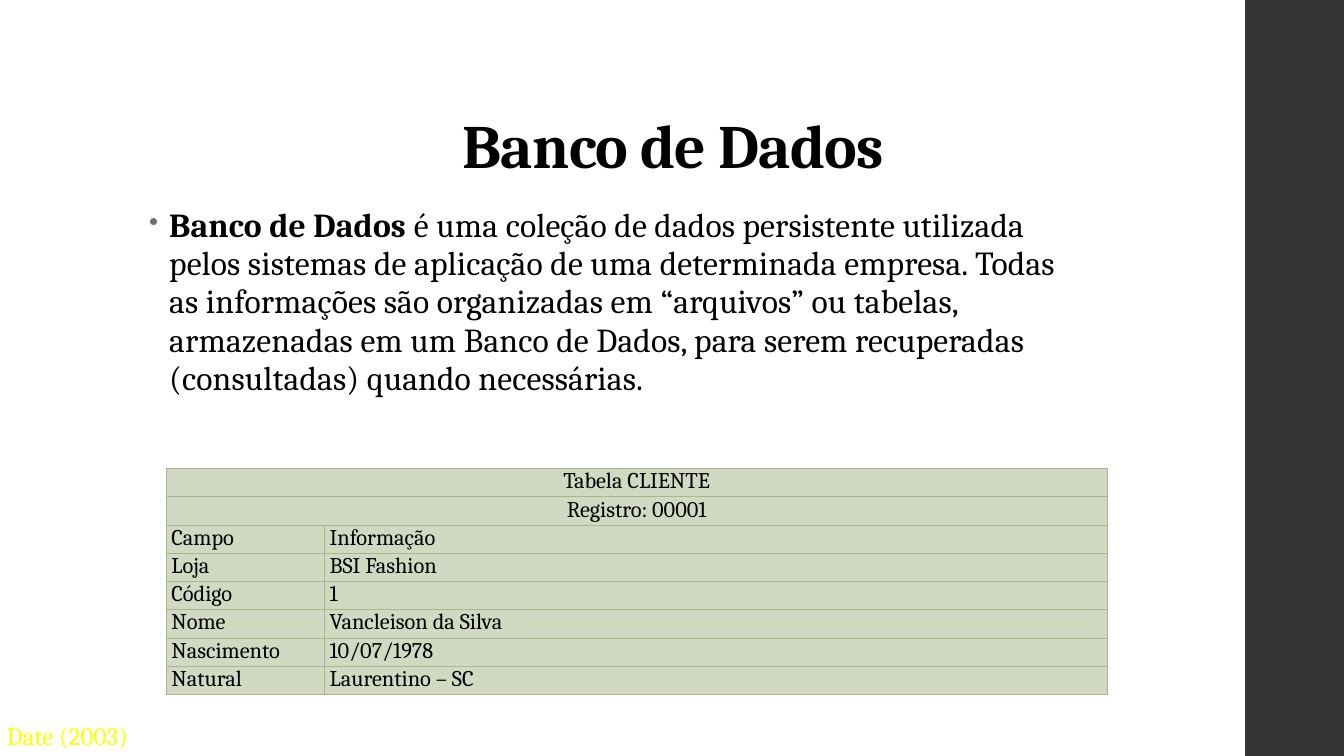
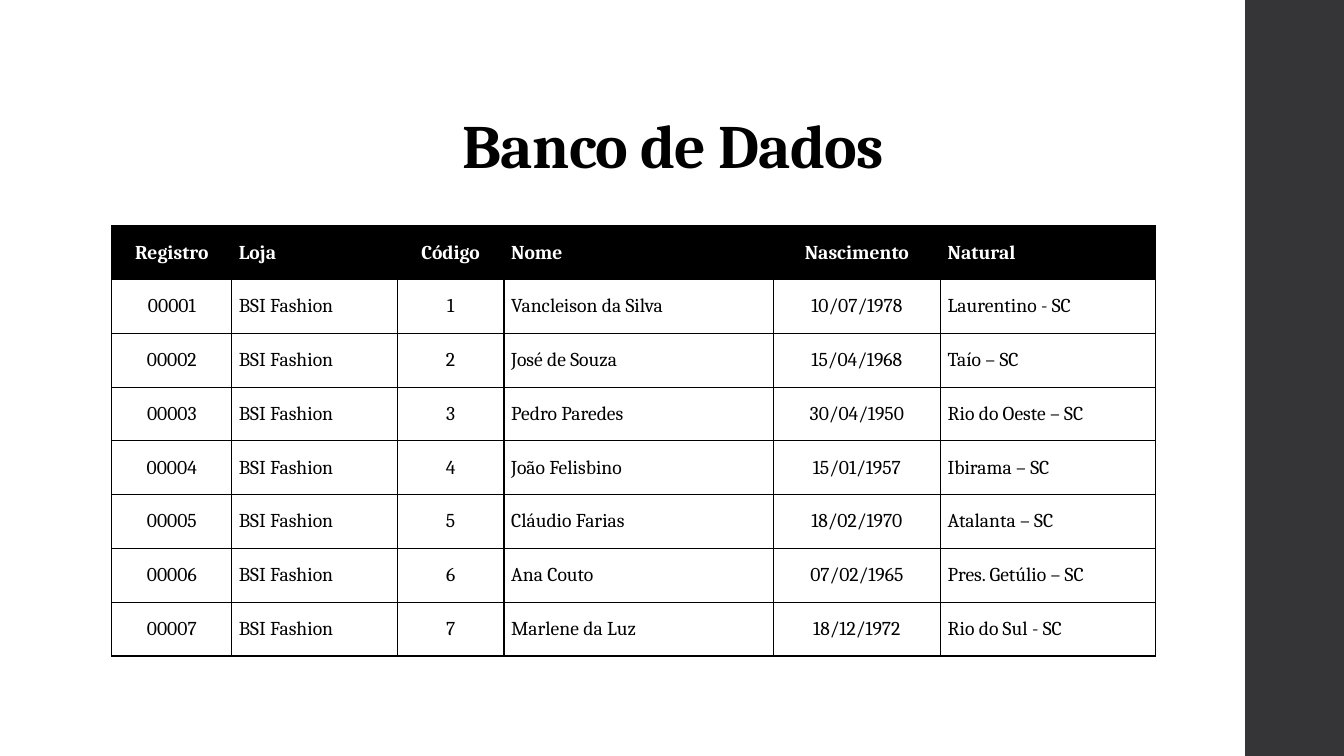
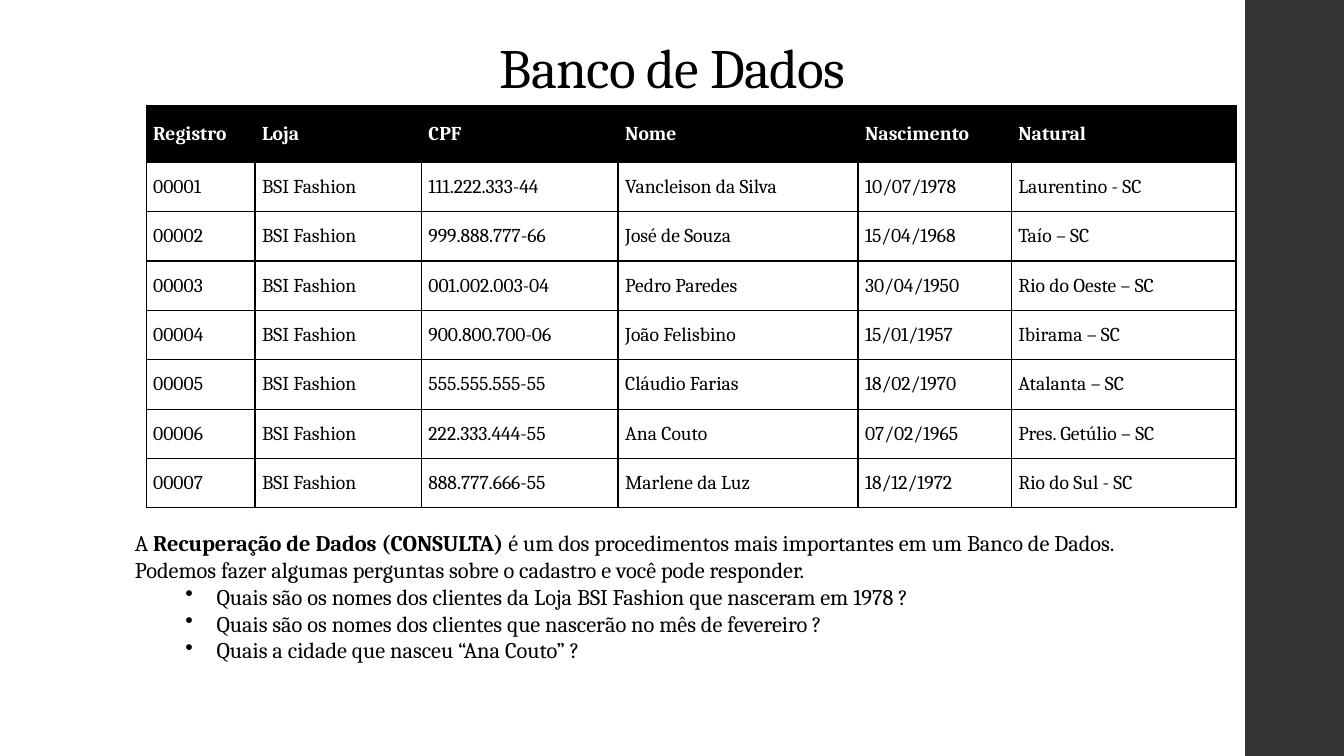
from dataclasses import dataclass
from typing import NamedTuple, Optional, Sequence

from lxml import etree
from pptx import Presentation
from pptx.dml.color import RGBColor
from pptx.enum.shapes import MSO_SHAPE
from pptx.enum.text import MSO_ANCHOR, MSO_AUTO_SIZE, PP_ALIGN
from pptx.oxml.ns import qn
from pptx.util import Inches, Pt

LEFT, CENTER = PP_ALIGN.LEFT, PP_ALIGN.CENTER
TOP, MIDDLE, BOTTOM = MSO_ANCHOR.TOP, MSO_ANCHOR.MIDDLE, MSO_ANCHOR.BOTTOM
RECTANGLE = MSO_SHAPE.RECTANGLE
FIT_SHAPE, FIT_NONE = MSO_AUTO_SIZE.SHAPE_TO_FIT_TEXT, MSO_AUTO_SIZE.NONE

FONT = "Cambria"
TITLE = "Banco de Dados"
STORE = "BSI Fashion"
COLORS = {
    "band": "353537",
    "text": "000000",
    "header_text": "FFFFFF",
    "bullet": "6F6F74",
    "source": "FFFF00",
    "record_fill": "D1D9C2",
    "record_line": "A7B789",
    "grid": "000000",
}


class Box(NamedTuple):
    left: float
    top: float
    width: float
    height: float


class Client(NamedTuple):
    name: str
    cpf: str
    birth: str
    city: str


class Bullet(NamedTuple):
    left: float
    hang: float
    level: int = 0
    color: Optional[str] = None
    percent: Optional[int] = None


@dataclass(frozen=True)
class TableStyle:
    size: float
    inset: float
    line: str
    line_width: float
    anchor: MSO_ANCHOR
    fill: Optional[str] = None
    has_header: bool = False


RECORD_STYLE = TableStyle(16, 0.05, "record_line", 0.75, TOP, fill="record_fill")
GRID_STYLE = TableStyle(14, 0.07, "grid", 1, MIDDLE, has_header=True)

CLIENTS = [
    Client("Vancleison da Silva", "111.222.333-44", "10/07/1978", "Laurentino - SC"),
    Client("José de Souza", "999.888.777-66", "15/04/1968", "Taío – SC"),
    Client("Pedro Paredes", "001.002.003-04", "30/04/1950", "Rio do Oeste – SC"),
    Client("João Felisbino", "900.800.700-06", "15/01/1957", "Ibirama – SC"),
    Client("Cláudio Farias", "555.555.555-55", "18/02/1970", "Atalanta – SC"),
    Client("Ana Couto", "222.333.444-55", "07/02/1965", "Pres. Getúlio – SC"),
    Client("Marlene da Luz", "888.777.666-55", "18/12/1972", "Rio do Sul - SC"),
]


def rgb(color: str) -> RGBColor:
    return RGBColor.from_string(COLORS[color])


def set_bullet(paragraph, bullet: Bullet) -> None:
    paragraph.level = bullet.level
    props = paragraph._p.get_or_add_pPr()
    props.set("marL", str(Inches(bullet.left)))
    props.set("indent", str(-Inches(bullet.hang)))
    if bullet.color:
        holder = etree.SubElement(props, qn("a:buClr"))
        etree.SubElement(holder, qn("a:srgbClr"), val=COLORS[bullet.color])
    if bullet.percent:
        etree.SubElement(props, qn("a:buSzPct"), val=str(bullet.percent * 1000))
    etree.SubElement(props, qn("a:buChar"), char="•")


def write_text(frame, *lines: str, size: float, color: str = "text",
               bold: bool = False, align: PP_ALIGN = LEFT, tracking: float = 0,
               line_spacing: Optional[float] = None, before: float = 0,
               after: float = 0, bullet: Optional[Bullet] = None) -> None:
    """Append one paragraph per line; parts between ** marks are bold."""
    for line in lines:
        first = frame.paragraphs[0]
        paragraph = frame.add_paragraph() if first.runs else first
        paragraph.alignment = align
        paragraph.space_before, paragraph.space_after = Pt(before), Pt(after)
        if line_spacing:
            paragraph.line_spacing = line_spacing
        if bullet:
            set_bullet(paragraph, bullet)
        for position, part in enumerate(line.split("**")):
            if not part:
                continue
            run = paragraph.add_run()
            run.text = part
            run.font.name, run.font.size = FONT, Pt(size)
            run.font.bold = bold or position % 2 == 1
            run.font.color.rgb = rgb(color)
            if tracking:
                run._r.get_or_add_rPr().set("spc", str(round(tracking * 100)))


def add_frame(slide, box: Box, anchor: MSO_ANCHOR = TOP, wrap: bool = True,
              grow: bool = False):
    frame = slide.shapes.add_textbox(*map(Inches, box)).text_frame
    frame.word_wrap = wrap
    frame.auto_size = FIT_SHAPE if grow else FIT_NONE
    frame.vertical_anchor = anchor
    return frame


def add_titled_slide(deck, title_box: Box, size: float, bold: bool):
    """Add a blank slide with the dark side band and the title."""
    slide = deck.slides.add_slide(deck.slide_layouts[6])
    band = slide.shapes.add_shape(RECTANGLE, *map(Inches, Box(12.35, 0, 1, 7.5)))
    band.shadow.inherit = False
    band.fill.solid()
    band.fill.fore_color.rgb = rgb("band")
    band.line.fill.background()
    write_text(add_frame(slide, title_box, anchor=BOTTOM), TITLE, size=size,
               bold=bold, align=CENTER, tracking=-0.5, line_spacing=0.9)
    return slide


def set_borders(cell, color: str, width: float, bottom_width: float) -> None:
    props = cell._tc.get_or_add_tcPr()
    for side in ("lnL", "lnR", "lnT", "lnB"):
        points = bottom_width if side == "lnB" else width
        line = etree.SubElement(props, qn(f"a:{side}"), w=str(Pt(points)))
        fill = etree.SubElement(line, qn("a:solidFill"))
        etree.SubElement(fill, qn("a:srgbClr"), val=COLORS[color])


def add_table(slide, left: float, top: float, widths: Sequence[float],
              heights: Sequence[float], rows: Sequence[Sequence[str]],
              style: TableStyle, centered: Sequence[int] = ()) -> None:
    """Draw rows of text; a row with a single text spans the whole width."""
    box = Box(left, top, sum(widths), sum(heights))
    table = slide.shapes.add_table(len(rows), len(widths), *map(Inches, box)).table
    table.first_row = style.has_header
    table.horz_banding = False
    for column, width in zip(table.columns, widths):
        column.width = Inches(width)
    for r, (texts, height) in enumerate(zip(rows, heights)):
        table.rows[r].height = Inches(height)
        header = style.has_header and r == 0
        fill = style.line if header else style.fill
        spans = len(texts) == 1
        for c in range(len(widths)):
            cell = table.cell(r, c)
            cell.margin_left = cell.margin_right = Inches(style.inset)
            cell.margin_top = cell.margin_bottom = 0
            cell.vertical_anchor = style.anchor
            set_borders(cell, style.line, 0.75 if header else style.line_width,
                        style.line_width)
            if fill:
                cell.fill.solid()
                cell.fill.fore_color.rgb = rgb(fill)
            else:
                cell.fill.background()
            if c < len(texts):
                write_text(cell.text_frame, texts[c], size=style.size, bold=header,
                           color="header_text" if header else "text",
                           align=CENTER if spans or c in centered else LEFT)
        if spans:
            table.cell(r, 0).merge(table.cell(r, len(widths) - 1))


def client_rows(key: str, keys: Sequence[str]) -> list:
    header = ("Registro", "Loja", key, "Nome", "Nascimento", "Natural")
    return [header] + [
        (f"{number:05}", STORE, value, client.name, client.birth, client.city)
        for number, (client, value) in enumerate(zip(CLIENTS, keys), 1)
    ]


def add_definition(deck, title_box: Box) -> None:
    slide = add_titled_slide(deck, title_box, 44, True)
    write_text(
        add_frame(slide, Box(1.38, 2, 9.4, 2.5)),
        "**Banco de Dados** é uma coleção de dados persistente utilizada pelos "
        "sistemas de aplicação de uma determinada empresa. Todas as informações "
        "são organizadas em “arquivos” ou tabelas, armazenadas em um Banco de "
        "Dados, para serem recuperadas (consultadas) quando necessárias.",
        size=24, tracking=0.1, line_spacing=0.95, before=14, after=2,
        bullet=Bullet(0.2, 0.2, color="bullet", percent=80))
    client = CLIENTS[0]
    record = [
        ("Tabela CLIENTE",),
        ("Registro: 00001",),
        ("Campo", "Informação"),
        ("Loja", STORE),
        ("Código", "1"),
        ("Nome", client.name),
        ("Nascimento", client.birth),
        ("Natural", "Laurentino – SC"),
    ]
    add_table(slide, 1.65, 4.65, (1.57, 7.76), [0.28] * len(record), record,
              RECORD_STYLE)
    write_text(add_frame(slide, Box(-0.03, 7.1, 1.41, 0.4), wrap=False, grow=True),
               "Date (2003)", size=18, color="source")


def add_client_list(deck, title_box: Box) -> None:
    slide = add_titled_slide(deck, title_box, 44, True)
    codes = [str(code) for code in range(1, len(CLIENTS) + 1)]
    rows = client_rows("Código", codes)
    add_table(slide, 1.11, 2.24, (1.19, 1.64, 1.06, 2.67, 1.66, 2.13),
              [4.27 / len(rows)] * len(rows), rows, GRID_STYLE, centered=(0, 2, 4))


def add_queries(deck) -> None:
    slide = add_titled_slide(deck, Box(0.92, 0.4, 11.5, 0.65), 39.6, False)
    rows = client_rows("CPF", [client.cpf for client in CLIENTS])
    add_table(slide, 1.45, 1.05, (1.08, 1.65, 1.95, 2.38, 1.52, 2.23),
              [0.56] + [0.49] * len(CLIENTS), rows, GRID_STYLE)
    queries = add_frame(slide, Box(1.24, 5.2, 11.17, 2.05), grow=True)
    write_text(
        queries,
        "A **Recuperação de Dados (CONSULTA) **é um dos procedimentos mais "
        "importantes em um Banco de Dados.",
        "Podemos fazer algumas perguntas sobre o cadastro e você pode responder.",
        size=16)
    write_text(
        queries,
        "Quais são os nomes dos clientes da Loja BSI Fashion que nasceram em 1978 ?",
        "Quais são os nomes dos clientes que nascerão no mês de fevereiro ?",
        "Quais a cidade que nasceu “Ana Couto” ?",
        size=16, bullet=Bullet(0.81, 0.31, level=1))


def main() -> None:
    deck = Presentation()
    deck.slide_width, deck.slide_height = Inches(13.33), Inches(7.5)
    title_box = Box(1.38, 0.4, 10.6, 1.45)
    add_definition(deck, title_box)
    add_client_list(deck, title_box)
    add_queries(deck)
    deck.save("out.pptx")


if __name__ == "__main__":
    main()
